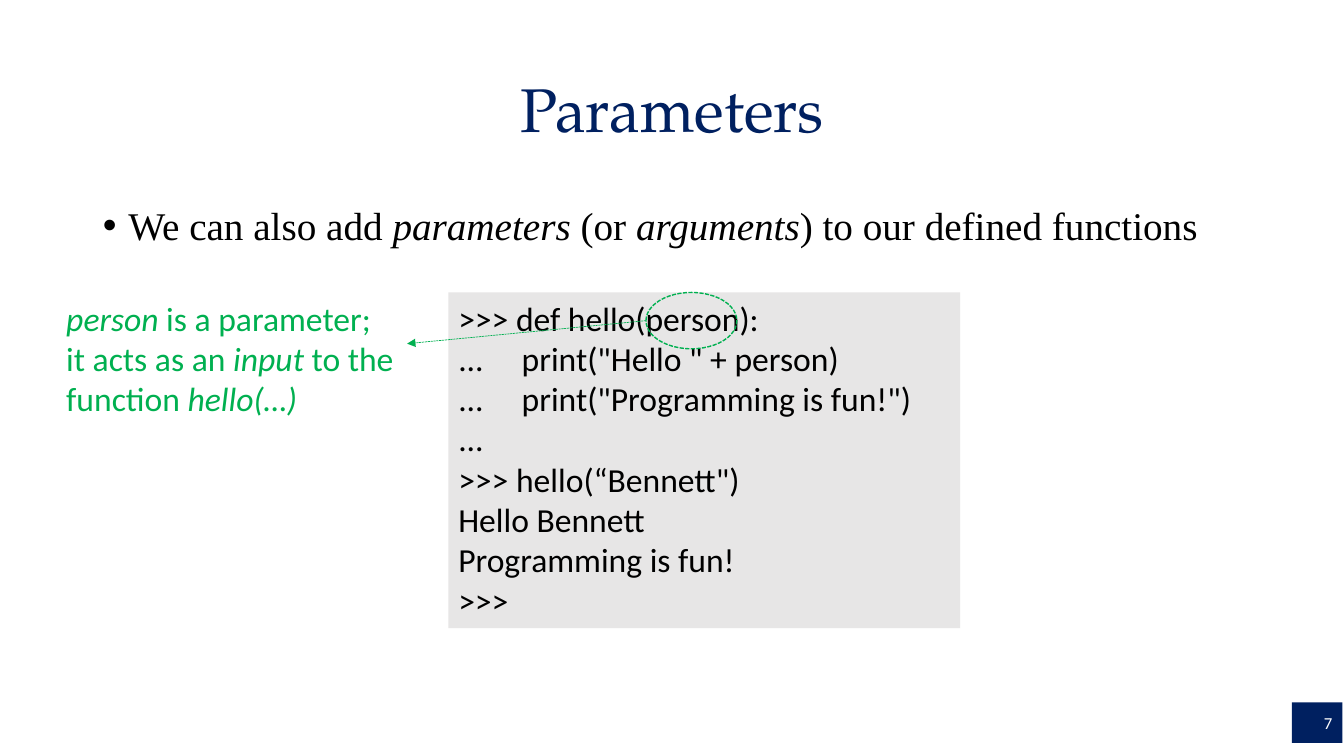
from lxml.etree import SubElement
from pptx import Presentation
from pptx.dml.color import RGBColor
from pptx.enum.dml import MSO_LINE
from pptx.enum.shapes import MSO_CONNECTOR, MSO_SHAPE
from pptx.enum.text import MSO_ANCHOR, MSO_AUTO_SIZE, PP_ALIGN
from pptx.oxml.ns import qn
from pptx.util import Cm, Pt

HUES = {"navy": "002060", "green": "00B050", "grey": "E7E6E6", "black": "000000", "white": "FFFFFF"}
CODE = [
    ">>> def hello(person):",
    "...     print(\"Hello \" + person)",
    "...     print(\"Programming is fun!\")",
    "...",
    ">>> hello(“Bennett\")",
    "Hello Bennett",
    "Programming is fun!",
    ">>>",
]


class Deck:
    """Hold the style and the current slide, and draw each kind of element."""

    def __init__(self):
        self.file = Presentation()
        self.file.slide_width, self.file.slide_height = Cm(33.87), Cm(19.05)
        self.slide = self.file.slides.add_slide(self.file.slide_layouts[1])

    def hue(self, name):
        return RGBColor.from_string(HUES[name])

    def say(self, para, parts, font, size, tint):
        """Add (text, italic) parts as runs, with a break at each newline."""
        for text, slant in parts:
            for row, piece in enumerate(text.split("\n")):
                if row:
                    para.add_line_break()
                run = para.add_run()
                run.text = piece
                run.font.name, run.font.size = font, Pt(size)
                run.font.italic = slant
                run.font.color.rgb = self.hue(tint)

    def holder(self, index, box, anchor):
        """Place a template placeholder and return its first paragraph."""
        item = self.slide.placeholders[index]
        item.left, item.top, item.width, item.height = map(Cm, box)
        frame = item.text_frame
        frame.auto_size, frame.vertical_anchor = MSO_AUTO_SIZE.NONE, anchor
        para = frame.paragraphs[0]
        para.line_spacing, para.space_before = 0.9, Pt(0)
        return para

    def title(self, text, box):
        para = self.holder(0, box, MSO_ANCHOR.MIDDLE)
        para.alignment = PP_ALIGN.CENTER
        self.say(para, [(text, False)], "TeX Gyre Pagella", 44, "navy")

    def bullet(self, parts, box):
        para = self.holder(1, box, MSO_ANCHOR.TOP)
        props = para._p.get_or_add_pPr()
        props.set("marL", str(Cm(0.64)))
        props.set("indent", str(-Cm(0.64)))
        SubElement(props, qn("a:buFont"), typeface="Arial")
        SubElement(props, qn("a:buChar"), char="•")
        self.say(para, parts, "Times New Roman", 28, "black")

    def fill(self, frame, rows, size, tint, align=PP_ALIGN.LEFT):
        """Add one paragraph for each row of parts."""
        frame.word_wrap = True
        for spot, parts in enumerate(rows):
            para = frame.add_paragraph() if spot else frame.paragraphs[0]
            para.alignment = align
            self.say(para, parts, "Calibri", size, tint)

    def note(self, parts, box):
        item = self.slide.shapes.add_textbox(*map(Cm, box))
        self.fill(item.text_frame, [parts], 24, "green")

    def block(self, rows, box, back, size, tint, align, anchor):
        item = self.slide.shapes.add_shape(MSO_SHAPE.RECTANGLE, *map(Cm, box))
        item.shadow.inherit = False
        item.fill.solid()
        item.fill.fore_color.rgb = self.hue(back)
        item.line.fill.background()
        item.text_frame.vertical_anchor = anchor
        self.fill(item.text_frame, rows, size, tint, align)

    def dash(self, line, width):
        line.color.rgb = self.hue("green")
        line.width, line.dash_style = Pt(width), MSO_LINE.SQUARE_DOT
        line._ln.find(qn("a:prstDash")).set("val", "sysDash")

    def ring(self, box):
        item = self.slide.shapes.add_shape(MSO_SHAPE.OVAL, *map(Cm, box))
        item.shadow.inherit = False
        item.fill.background()
        self.dash(item.line, 1)

    def arrow(self, ends):
        item = self.slide.shapes.add_connector(MSO_CONNECTOR.STRAIGHT, *map(Cm, ends))
        self.dash(item.line, 0.5)
        SubElement(item.line._ln, qn("a:tailEnd"), type="triangle")
        SubElement(item._element.spPr, qn("a:effectLst"))


def main():
    deck = Deck()
    deck.bullet([("We can also add ", False), ("parameters", True), (" (or ", False),
                 ("arguments", True), (") to our defined functions", False)],
                (2.34, 5.08, 29.21, 13.03))
    deck.title("Parameters", (2.34, 0.99, 29.21, 3.68))
    deck.block([[(row, False)] for row in CODE], (11.3, 7.37, 12.9, 8.46),
               "grey", 24, "black", PP_ALIGN.LEFT, MSO_ANCHOR.TOP)
    deck.note([("person", True), (" is a parameter; \nit acts as an ", False), ("input", True),
               (" to the \nfunction ", False), ("hello(…)", True)], (1.42, 7.37, 9.04, 3.33))
    deck.ring((16.28, 7.37, 2.29, 1.42))
    deck.arrow((16.28, 8.08, 10.26, 8.66))
    deck.block([[("7", False)]], (32.56, 17.7, 1.27, 1.02),
               "navy", 12, "white", PP_ALIGN.RIGHT, MSO_ANCHOR.MIDDLE)
    deck.file.save("out.pptx")


if __name__ == "__main__":
    main()
